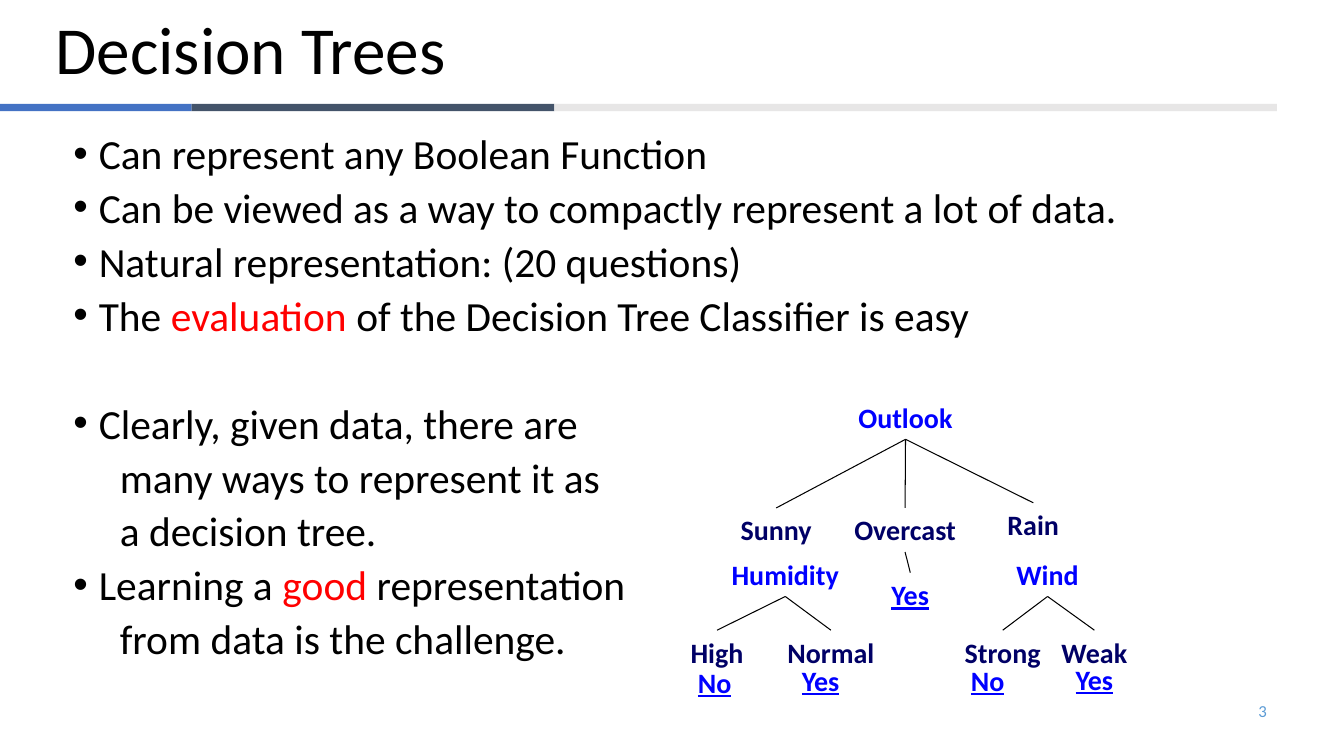
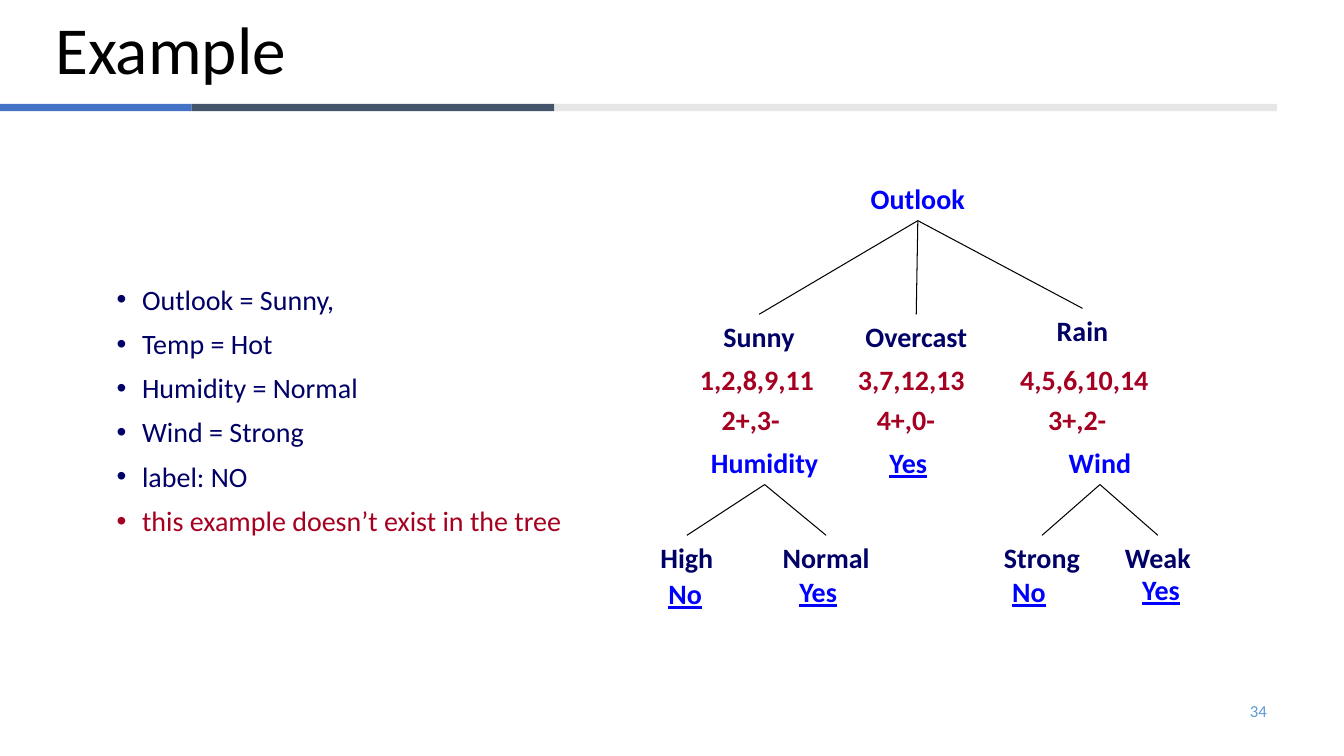
from dataclasses import dataclass

from lxml import etree
from pptx import Presentation
from pptx.dml.color import RGBColor
from pptx.enum.shapes import MSO_CONNECTOR, MSO_SHAPE
from pptx.enum.text import MSO_ANCHOR, MSO_AUTO_SIZE, PP_ALIGN
from pptx.oxml.ns import qn
from pptx.util import Cm, Pt

RECT = MSO_SHAPE.RECTANGLE
LINE = MSO_CONNECTOR.STRAIGHT
MID, TOP = MSO_ANCHOR.MIDDLE, MSO_ANCHOR.TOP
FIXED = MSO_AUTO_SIZE.NONE
LEFT, RIGHT, CENTER = PP_ALIGN.LEFT, PP_ALIGN.RIGHT, PP_ALIGN.CENTER
BOTTOM_SITE, TOP_SITE = 2, 0


def rgb(code):
    return RGBColor.from_string(code)


@dataclass(frozen=True)
class Theme:
    font: str = "Calibri"
    black: RGBColor = rgb("000000")
    red: RGBColor = rgb("FF0000")
    test: RGBColor = rgb("0000FF")
    branch: RGBColor = rgb("000066")
    count: RGBColor = rgb("A50021")
    page: RGBColor = rgb("5B9BD5")
    bands: tuple = (rgb("4472C4"), rgb("44546A"), rgb("E7E6E6"))
    head: float = 48
    body: float = 29.6
    small: float = 20
    foot: float = 12


# Band edges and label widths, in cm
EDGES = (0, 4.83, 13.97, 32.18)
HIGH = 1.11
WIDTHS = {
    "Outlook": 3.07, "Sunny": 2.34, "Overcast": 3.1, "Rain": 1.83,
    "Humidity": 3.25, "Wind": 2.11, "High": 1.85, "Normal": 2.72,
    "Strong": 2.44, "Weak": 2.18, "Yes": 1.47, "No": 1.37,
    "1,2,8,9,11": 3.4, "3,7,12,13": 3.23, "4,5,6,10,14": 3.76,
    "2+,3-": 1.98, "4+,0-": 1.98, "3+,2-": 1.98,
}
TESTS = ("Outlook", "Humidity", "Wind")
LEAVES = ("Yes", "No")
SPLITS = {
    "Outlook": ("Sunny", "Overcast", "Rain"),
    "Humidity": ("High", "Normal"),
    "Wind": ("Strong", "Weak"),
}


class Deck:
    def __init__(self, theme):
        self.theme = theme
        self.prs = Presentation()
        self.prs.slide_width, self.prs.slide_height = Cm(33.87), Cm(19.05)
        self.slide = None

    def style(self, font, size, color, bold=False):
        font.name, font.size, font.bold = self.theme.font, Pt(size), bold
        font.color.rgb = color

    def page(self, title, number):
        """Start a slide with its title, bands and number."""
        t = self.theme
        self.slide = self.prs.slides.add_slide(self.prs.slide_layouts[5])
        head = self.slide.shapes.title
        head.left, head.top = Cm(1.14), Cm(0.05)
        head.width, head.height = Cm(30.48), Cm(2.57)
        frame = head.text_frame
        frame.text = title
        frame.auto_size, frame.vertical_anchor = FIXED, MID
        para = frame.paragraphs[0]
        para.alignment, para.line_spacing = LEFT, 0.9
        self.style(para.font, t.head, t.black)
        for left, right, color in zip(EDGES, EDGES[1:], t.bands):
            self.band(left, right - left, color)
        foot = self.text(24.28, 17.4, 7.9, 1.02, MID)
        para = foot.text_frame.paragraphs[0]
        para.text, para.alignment = str(number), RIGHT
        self.style(para.font, t.foot, t.page)

    def band(self, left, width, color):
        bar = self.slide.shapes.add_shape(
            RECT, Cm(left), Cm(2.62), Cm(width), Cm(0.18))
        bar.shadow.inherit = False
        bar.fill.solid()
        bar.fill.fore_color.rgb = color
        bar.line.fill.background()

    def text(self, left, top, width, height, anchor=TOP, wrap=True):
        box = self.slide.shapes.add_textbox(
            Cm(left), Cm(top), Cm(width), Cm(height))
        frame = box.text_frame
        frame.word_wrap, frame.vertical_anchor = wrap, anchor
        return box

    def label(self, word, mid, top, color):
        """Place a bold word centred on mid."""
        width = WIDTHS[word]
        box = self.text(mid - width / 2, top, width, HIGH, wrap=False)
        para = box.text_frame.paragraphs[0]
        para.text, para.alignment = word, CENTER
        self.style(para.font, self.theme.small, color, True)
        para.font.underline = word in LEAVES
        return box

    def link(self, start, end):
        """Join the foot of one label to the top of another."""
        wire = self.slide.shapes.add_connector(LINE, 0, 0, 0, 0)
        wire.begin_connect(start, BOTTOM_SITE)
        wire.end_connect(end, TOP_SITE)
        wire.line.color.rgb, wire.line.width = self.theme.black, Pt(0.75)
        etree.SubElement(wire.element.spPr, qn("a:effectLst"))

    def tree(self, nodes, leaves):
        """Draw the nodes with their links, then the leaves."""
        t = self.theme
        made = {word: self.label(word, mid, top,
                                 t.test if word in TESTS else t.branch)
                for word, (mid, top) in nodes.items()}
        for start, ends in SPLITS.items():
            for end in ends:
                self.link(made[start], made[end])
        for word, mid, top in leaves:
            self.label(word, mid, top, t.test)
        return made

    def bullets(self, area, rows, size, line, ink, accent):
        """Fill area with rows: + continues a bullet, ^ leaves a gap,
        *stars* mark the accent colour."""
        frame = self.text(*area).text_frame
        for n, row in enumerate(rows):
            para = frame.paragraphs[0] if n == 0 else frame.add_paragraph()
            para.line_spacing = line
            para.space_before = Pt(49 if row[0] == "^" else 10)
            self.style(para.font, size, ink)
            props = para._p.get_or_add_pPr()
            if row[0] == "+":
                props.set("marL", str(Cm(1.17)))
            else:
                props.set("marL", str(Cm(0.64)))
                props.set("indent", str(Cm(-0.64)))
                etree.SubElement(props, qn("a:buFont"), typeface="Arial")
                etree.SubElement(props, qn("a:buChar"), char="•")
            for k, part in enumerate(row.lstrip("+^").split("*")):
                if part:
                    run = para.add_run()
                    run.text = part
                    self.style(run.font, size, accent if k % 2 else ink)


def trees(deck):
    t = deck.theme
    deck.page("Decision Trees", 3)
    deck.bullets((1.6, 3.35, 30.48, 13.67), (
        "Can represent any Boolean Function",
        "Can be viewed as a way to compactly represent a lot of data.",
        "Natural representation: (20 questions)",
        "The *evaluation* of the Decision Tree Classifier is easy",
        "^Clearly, given data, there are",
        "+many ways to represent it as",
        "+a decision tree.",
        "Learning a *good* representation",
        "+from data is the challenge.",
    ), t.body, 0.8, t.black, t.red)
    made = deck.tree({
        "Outlook": (22.82, 9.96),
        "Sunny": (19.56, 12.8), "Overcast": (22.81, 12.8),
        "Rain": (26.04, 12.67),
        "Humidity": (19.79, 13.92), "Wind": (26.4, 13.92),
        "High": (18.07, 15.88), "Normal": (20.94, 15.88),
        "Strong": (25.27, 15.88), "Weak": (27.58, 15.88),
    }, (("No", 18.01, 16.64), ("Yes", 20.68, 16.59),
        ("No", 24.89, 16.59), ("Yes", 27.58, 16.56)))
    deck.link(made["Overcast"], deck.label("Yes", 22.94, 14.43, t.test))


def example(deck):
    t = deck.theme
    deck.page("Example", 34)
    deck.tree({
        "Outlook": (23.13, 4.45),
        "Sunny": (19.13, 7.92), "Overcast": (23.09, 7.92),
        "Rain": (27.28, 7.77),
        "Humidity": (19.27, 11.1), "Wind": (27.72, 11.1),
        "High": (17.31, 13.49), "Normal": (20.82, 13.49),
        "Strong": (26.26, 13.49), "Weak": (29.18, 13.49),
    }, (("Yes", 22.89, 11.1), ("No", 17.27, 14.4), ("Yes", 20.62, 14.35),
        ("No", 25.93, 14.35), ("Yes", 29.26, 14.3)))
    # Days in each branch, and their counts
    for days, mid, count, spot in (
            ("1,2,8,9,11", 19.08, "2+,3-", 18.92),
            ("3,7,12,13", 22.97, "4+,0-", 22.83),
            ("4,5,6,10,14", 27.33, "3+,2-", 27.15)):
        deck.label(days, mid, 9.02, t.count)
        deck.label(count, spot, 10.03, t.count)
    deck.bullets((2.69, 7.08, 13.69, 11.9), (
        "Outlook = Sunny,",
        "Temp = Hot",
        "Humidity = Normal",
        "Wind = Strong",
        "label: NO",
        "*this example doesn’t exist in the tree*",
    ), t.small, 0.9, t.branch, t.count)


def main():
    deck = Deck(Theme())
    trees(deck)
    example(deck)
    deck.prs.save("out.pptx")


if __name__ == "__main__":
    main()
